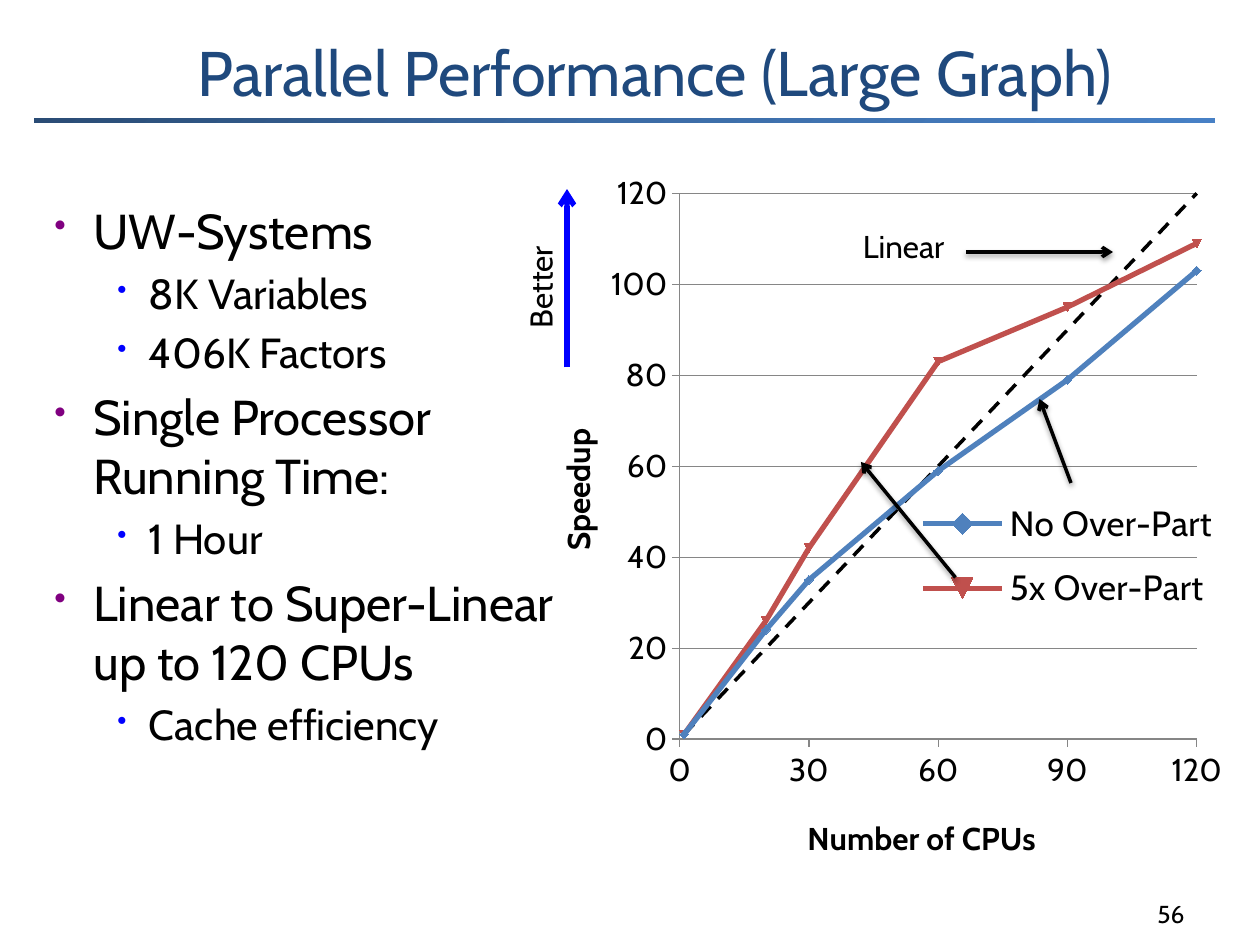
from copy import deepcopy
from dataclasses import dataclass
from typing import NamedTuple

from lxml import etree
from pptx import Presentation
from pptx import util as u
from pptx.chart.data import XyChartData
from pptx.dml.color import RGBColor
from pptx.enum import chart as ch, dml, shapes, text
from pptx.oxml import parse_xml
from pptx.oxml.ns import nsdecls, qn

FONT = "Cabin"
COLORS = {
    "black": "000000", "white": "FFFFFF", "title": "1F497D", "grid": "868686",
    "blue": "4F81BD", "red": "C0504D", "better": "0000FF", "bullet": "800080",
    "bar_start": "2A4C75", "bar_middle": "3C6CA6", "bar_end": "4780C5",
}
CPUS = [1, 20, 30, 60, 90, 120]


class Area(NamedTuple):
    """Left, top, width and height in grid units of 1/12 inch."""
    left: float
    top: float
    width: float
    height: float


@dataclass
class Arrow:
    start: tuple[float, float]
    end: tuple[float, float]
    color: str = "black"
    weight: float = 2
    shadow: bool = True


@dataclass
class Level:
    size: int
    margin: float
    indent: float
    bullet_color: str
    bullet_size: int


@dataclass
class Curve:
    name: str
    speedups: list[int]
    color: str
    dashed: bool = False


LEVELS = [Level(28, 0.31, -0.31, "bullet", 70), Level(24, 0.75, -0.25, "better", 65)]
POINTS = [
    (0, "UW-Systems"), (1, "8K Variables"), (1, "406K Factors"),
    (0, "Single Processor Running Time:"), (1, "1 Hour"),
    (0, "Linear to Super-Linear up to 120 CPUs"), (1, "Cache efficiency"),
]
CURVES = [
    Curve("No Over-Part", [1, 24, 35, 59, 79, 103], "blue"),
    Curve("5x Over-Part", [1, 26, 42, 83, 95, 109], "red"),
    Curve("Series 3", CPUS, "black", dashed=True),
]
BETTER_ARROW = Arrow((54, 35), (54, 18), "better", 3, shadow=False)
POINTERS = [
    Arrow((92, 24), (106, 24)),
    Arrow((102, 46), (99, 38)),
    Arrow((91, 55), (82, 44)),
]


def grid(units: float) -> int:
    return u.Inches(units / 12)


def rgb(name: str) -> RGBColor:
    return RGBColor.from_string(COLORS[name])


def style(font, size: float, color: str = "black", bold: bool = False) -> None:
    font.name, font.size, font.bold = FONT, u.Pt(size), bold
    font.color.rgb = rgb(color)


def add_text(parent, area: Area, words: str, size: float, color: str = "black",
             align=text.PP_ALIGN.LEFT, anchor=text.MSO_ANCHOR.TOP, wrap: bool = True):
    box = parent.add_textbox(*map(grid, area))
    frame = box.text_frame
    frame.word_wrap, frame.vertical_anchor = wrap, anchor
    frame.text = words
    para = frame.paragraphs[0]
    para.alignment = align
    style(para.runs[0].font, size, color)
    return box


def add_points(parent, area: Area) -> None:
    frame = parent.add_textbox(*map(grid, area)).text_frame
    frame.word_wrap = True
    for number, (depth, words) in enumerate(POINTS):
        level = LEVELS[depth]
        para = frame.paragraphs[0] if number == 0 else frame.add_paragraph()
        para.text, para.level = words, depth
        if number:
            para.space_before = u.Pt(level.size * 0.2)
        props = para._p.get_or_add_pPr()
        props.set("marL", str(u.Inches(level.margin)))
        props.set("indent", str(u.Inches(level.indent)))
        color = etree.SubElement(props, qn("a:buClr"))
        etree.SubElement(color, qn("a:srgbClr"), val=COLORS[level.bullet_color])
        etree.SubElement(props, qn("a:buSzPct"), val=str(level.bullet_size * 1000))
        etree.SubElement(props, qn("a:buChar"), char="•")
        style(para.runs[0].font, level.size)


def add_arrow(parent, arrow: Arrow) -> None:
    line = parent.add_connector(shapes.MSO_CONNECTOR.STRAIGHT,
                                *map(grid, arrow.start + arrow.end))
    line.line.color.rgb, line.line.width = rgb(arrow.color), u.Pt(arrow.weight)
    etree.SubElement(line.line._get_or_add_ln(), qn("a:tailEnd"), type="arrow")
    effects = etree.SubElement(line._element.spPr, qn("a:effectLst"))
    if arrow.shadow:
        effects.append(parse_xml(
            f'<a:outerShdw {nsdecls("a")} blurRad="{u.Pt(3.1)}" dist="{u.Pt(1.6)}" '
            'dir="5400000" rotWithShape="0"><a:srgbClr val="000000">'
            '<a:alpha val="38000"/></a:srgbClr></a:outerShdw>'))


def add_bar(parent, area: Area) -> None:
    bar = parent.add_shape(shapes.MSO_SHAPE.RECTANGLE, *map(grid, area))
    bar.shadow.inherit = False
    bar.line.color.rgb, bar.line.width = rgb("white"), u.Pt(3)
    bar.fill.gradient()
    bar.fill.gradient_angle = 315
    stops = bar._element.spPr.find(".//" + qn("a:gsLst"))
    stops.insert(1, deepcopy(stops[0]))
    for stop, share, name in zip(bar.fill.gradient_stops, (0, 0.5, 1),
                                 ("bar_start", "bar_middle", "bar_end")):
        stop.position, stop.color.rgb = share, rgb(name)


def set_layout(element, before: str, **shares: float) -> None:
    """Place a chart part by shares of the chart's size."""
    for old in element.findall(qn("c:layout")):
        element.remove(old)
    layout = etree.Element(qn("c:layout"))
    manual = etree.SubElement(layout, qn("c:manualLayout"))
    if before == "c:scatterChart":
        etree.SubElement(manual, qn("c:layoutTarget"), val="inner")
    for side in ("xMode", "yMode"):
        etree.SubElement(manual, qn(f"c:{side}"), val="edge")
    for key, share in shares.items():
        etree.SubElement(manual, qn(f"c:{key}"), val=str(share))
    element.find(qn(before)).addprevious(layout)


def style_axis(axis, title: str, step: int, x: float, y: float) -> None:
    axis.minimum_scale, axis.maximum_scale, axis.major_unit = 0, 120, step
    axis.major_tick_mark = ch.XL_TICK_MARK.OUTSIDE
    axis.format.line.color.rgb = rgb("grid")
    style(axis.tick_labels.font, 18)
    axis.axis_title.text_frame.text = title
    style(axis.axis_title.text_frame.paragraphs[0].runs[0].font, 18, bold=True)
    heading = axis.axis_title._element
    if heading.find(qn("c:overlay")) is None:
        etree.SubElement(heading, qn("c:overlay"), val="0")
    set_layout(heading, "c:overlay", x=x, y=y)


def add_speedup_chart(parent, area: Area) -> None:
    data = XyChartData()
    for curve in CURVES:
        series = data.add_series(curve.name)
        for cpus, speedup in zip(CPUS, curve.speedups):
            series.add_data_point(cpus, speedup)
    chart = parent.add_chart(ch.XL_CHART_TYPE.XY_SCATTER_LINES,
                             *map(grid, area), data).chart
    chart.has_title = False
    style(chart.font, 18)
    plot = chart.plots[0]
    plot.vary_by_categories = False
    for series, curve in zip(plot.series, CURVES):
        series.smooth = False
        line = series.format.line
        line.color.rgb, line.width = rgb(curve.color), u.Pt(2 if curve.dashed else 3)
        if curve.dashed:
            line.dash_style = dml.MSO_LINE.DASH
            series.marker.style = ch.XL_MARKER_STYLE.NONE
        else:
            series.marker.format.fill.solid()
            series.marker.format.fill.fore_color.rgb = rgb(curve.color)
            series.marker.format.line.color.rgb = rgb(curve.color)
    # Axes
    style_axis(chart.category_axis, "Number of CPUs", 30, x=0.4, y=0.91)
    style_axis(chart.value_axis, "Speedup", 20, x=0.05, y=0.37)
    chart.category_axis.has_major_gridlines = False
    chart.value_axis.has_major_gridlines = True
    chart.value_axis.major_gridlines.format.line.color.rgb = rgb("grid")
    set_layout(plot._element.getparent(), "c:scatterChart", x=0.23, y=0.05, w=0.72, h=0.76)
    # Legend without the linear reference
    chart.has_legend = True
    legend = chart.legend
    legend.position, legend.include_in_layout = ch.XL_LEGEND_POSITION.LEFT, True
    style(legend.font, 20)
    set_layout(legend._element, "c:overlay", x=0.56, y=0.45, w=0.42, h=0.21)
    legend._element.find(qn("c:legendPos")).addnext(parse_xml(
        f'<c:legendEntry {nsdecls("c")}><c:idx val="2"/><c:delete val="1"/></c:legendEntry>'))


def main() -> None:
    deck = Presentation()
    deck.slide_width, deck.slide_height = u.Inches(10), u.Inches(7.5)
    page = deck.slides.add_slide(deck.slide_layouts[6]).shapes
    # Heading
    add_bar(page, Area(3, 11, 113, 1))
    add_text(page, Area(17.6, 1, 98.4, 10), "Parallel Performance (Large Graph)", 36,
             "title", anchor=text.MSO_ANCHOR.BOTTOM)
    # Chart, page number and points
    add_speedup_chart(page, Area(49, 15, 68.4, 68.4))
    add_text(page, Area(89, 83, 25, 6), "56", 14,
             align=text.PP_ALIGN.RIGHT, anchor=text.MSO_ANCHOR.BOTTOM)
    add_points(page, Area(4, 18.5, 51, 67.5))
    # Chart annotations
    add_text(page, Area(81, 21, 10.5, 4.8), "Linear", 18)
    better = page.add_group_shape().shapes
    add_arrow(better, BETTER_ARROW)
    add_text(better, Area(46.2, 24.8, 10.5, 4.8), "Better", 18, wrap=False).rotation = 270
    for pointer in POINTERS:
        add_arrow(page, pointer)
    deck.save("out.pptx")


if __name__ == "__main__":
    main()
